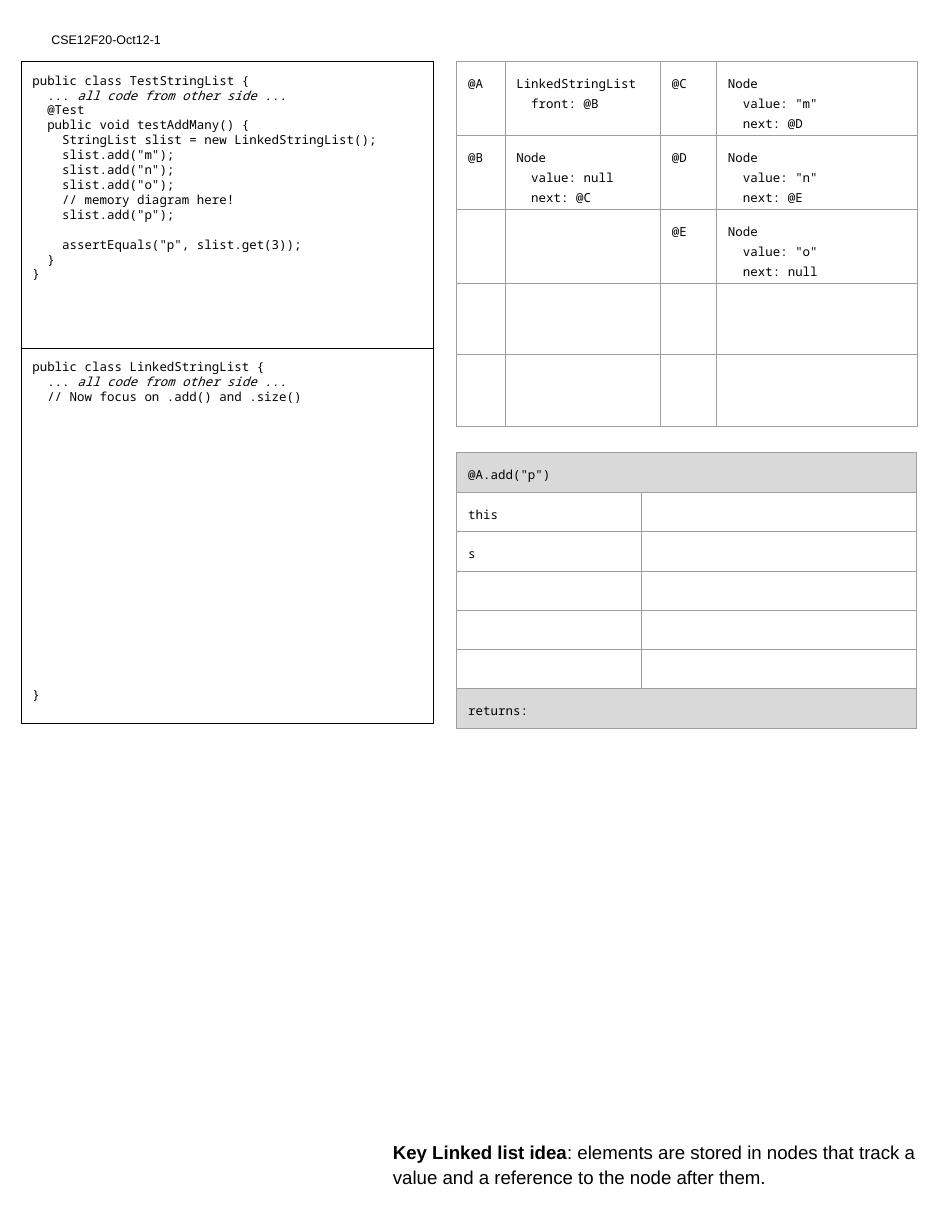
from lxml import etree
from pptx import Presentation
from pptx.dml.color import RGBColor
from pptx.enum.shapes import MSO_SHAPE
from pptx.enum.text import MSO_ANCHOR, PP_ALIGN
from pptx.oxml.ns import qn
from pptx.util import Inches, Pt

RECTANGLE = MSO_SHAPE.RECTANGLE
TOP = MSO_ANCHOR.TOP
LEFT = PP_ALIGN.LEFT
BLANK_LAYOUT = 6


def color(hex_string):
    return RGBColor.from_string(hex_string)


class Handout:
    sans = "Arial"
    mono = "Noto Sans Mono"
    ink = "000000"
    grid = "9E9E9E"
    band = "D9D9D9"
    small = 8
    inset = 0.1
    table_spacing = 1.15

    def __init__(self, deck):
        self.page = deck.slides.add_slide(deck.slide_layouts[BLANK_LAYOUT])

    def fill_text(self, frame, lines, font, size, spacing=1.0):
        """Each line is a string or a list of (text, style) spans."""
        frame.word_wrap = True
        frame.vertical_anchor = TOP
        frame.margin_left = frame.margin_right = Inches(self.inset)
        frame.margin_top = frame.margin_bottom = Inches(self.inset)
        for number, line in enumerate(lines):
            para = frame.paragraphs[0] if number == 0 else frame.add_paragraph()
            para.alignment = LEFT
            para.line_spacing = spacing
            for text, style in [(line, "")] if isinstance(line, str) else line:
                span = para.add_run()
                span.text = text
                span.font.name = font
                span.font.size = Pt(size)
                span.font.bold = style == "bold"
                span.font.italic = style == "italic"
                span.font.color.rgb = color(self.ink)

    def text(self, left, top, width, height, lines, size, spacing=1.0):
        box = self.page.shapes.add_textbox(
            Inches(left), Inches(top), Inches(width), Inches(height))
        self.fill_text(box.text_frame, lines, self.sans, size, spacing)

    def code(self, left, top, width, height, lines, gaps):
        """gaps maps a line number to the points of space above it."""
        box = self.page.shapes.add_shape(
            RECTANGLE, Inches(left), Inches(top), Inches(width), Inches(height))
        box.shadow.inherit = False
        box.fill.background()
        box.line.color.rgb = color(self.ink)
        box.line.width = Pt(0.75)
        self.fill_text(box.text_frame, lines, self.mono, self.small)
        for number, points in gaps.items():
            box.text_frame.paragraphs[number].space_before = Pt(points)

    def table(self, left, top, widths, heights, rows, band_rows=()):
        frame = self.page.shapes.add_table(
            len(heights), len(widths), Inches(left), Inches(top),
            Inches(sum(widths)), Inches(sum(heights)))
        table = frame.table
        table.first_row = table.horz_banding = False
        for column, width in zip(table.columns, widths):
            column.width = Inches(width)
        for row, height in zip(table.rows, heights):
            row.height = Inches(height)
        for number, texts in enumerate(rows):
            for column, text in enumerate(texts):
                self.cell(table.cell(number, column), text, number in band_rows)
        for number in band_rows:
            table.cell(number, 0).merge(table.cell(number, len(widths) - 1))

    def cell(self, cell, text, banded):
        lines = text.split("\n") if text else []
        self.fill_text(cell.text_frame, lines, self.mono, self.small, self.table_spacing)
        cell.margin_left = cell.margin_right = Inches(self.inset)
        cell.margin_top = cell.margin_bottom = Inches(self.inset)
        cell.vertical_anchor = TOP
        if banded:
            cell.fill.solid()
            cell.fill.fore_color.rgb = color(self.band)
        else:
            cell.fill.background()
        # An empty cell keeps the small size, so its row does not grow
        if not lines:
            para = cell.text_frame.paragraphs[0]
            end = etree.SubElement(para._p, qn("a:endParaRPr"))
            end.set("sz", str(self.small * 100))
        # Borders come before the fill in the cell properties
        properties = cell._tc.get_or_add_tcPr()
        for place, side in enumerate(("a:lnL", "a:lnR", "a:lnT", "a:lnB")):
            line = etree.Element(qn(side), w=str(Pt(0.75)))
            fill = etree.SubElement(line, qn("a:solidFill"))
            etree.SubElement(fill, qn("a:srgbClr"), val=self.grid)
            properties.insert(place, line)


deck = Presentation()
deck.slide_width = Inches(8.5)
deck.slide_height = Inches(11)
handout = Handout(deck)

# Page label
handout.text(0.36, 0.22, 1.81, 0.33, ["CSE12F20-Oct12-1"], 8)

# Heap diagram
handout.table(
    4.08, 0.55, [0.43, 1.39, 0.5, 1.79], [0.66] * 3 + [0.64] * 2,
    [["@A", "LinkedStringList\n  front: @B", "@C", 'Node\n  value: "m"\n  next: @D'],
     ["@B", "Node\n  value: null\n  next: @C", "@D", 'Node\n  value: "n"\n  next: @E'],
     ["", "", "@E", 'Node\n  value: "o"\n  next: null'],
     [""] * 4,
     [""] * 4])

# Key idea
handout.text(
    3.41, 10.07, 4.9, 0.51,
    [[("Key Linked list idea", "bold"),
      (": elements are stored in nodes that track a value and a reference "
       "to the node after them.", "")]], 12, 1.1)

# Code panels
other_side = [("  ... ", ""), ("all code from other side ...", "italic")]
test_code = [
    "public class TestStringList {",
    other_side,
    "  @Test",
    "  public void testAddMany() {",
    "    StringList slist = new LinkedStringList();",
    '    slist.add("m");',
    '    slist.add("n");',
    '    slist.add("o");',
    "    // memory diagram here!",
    '    slist.add("p");',
    '    assertEquals("p", slist.get(3));',
    "  }",
    "}",
]
list_code = [
    "public class LinkedStringList {",
    other_side,
    "  // Now focus on .add() and .size()",
    "}",
]
handout.code(0.19, 0.55, 3.68, 2.56, test_code, {10: 9.6})
handout.code(0.19, 3.11, 3.68, 3.35, list_code, {3: 182})

# Stack frame of the call
handout.table(
    4.08, 4.04, [1.65, 2.45], [0.35] * 7,
    [['@A.add("p")', ""], ["this", ""], ["s", ""]] + [["", ""]] * 3
    + [["returns:", ""]],
    band_rows=(0, 6))

deck.save("out.pptx")
